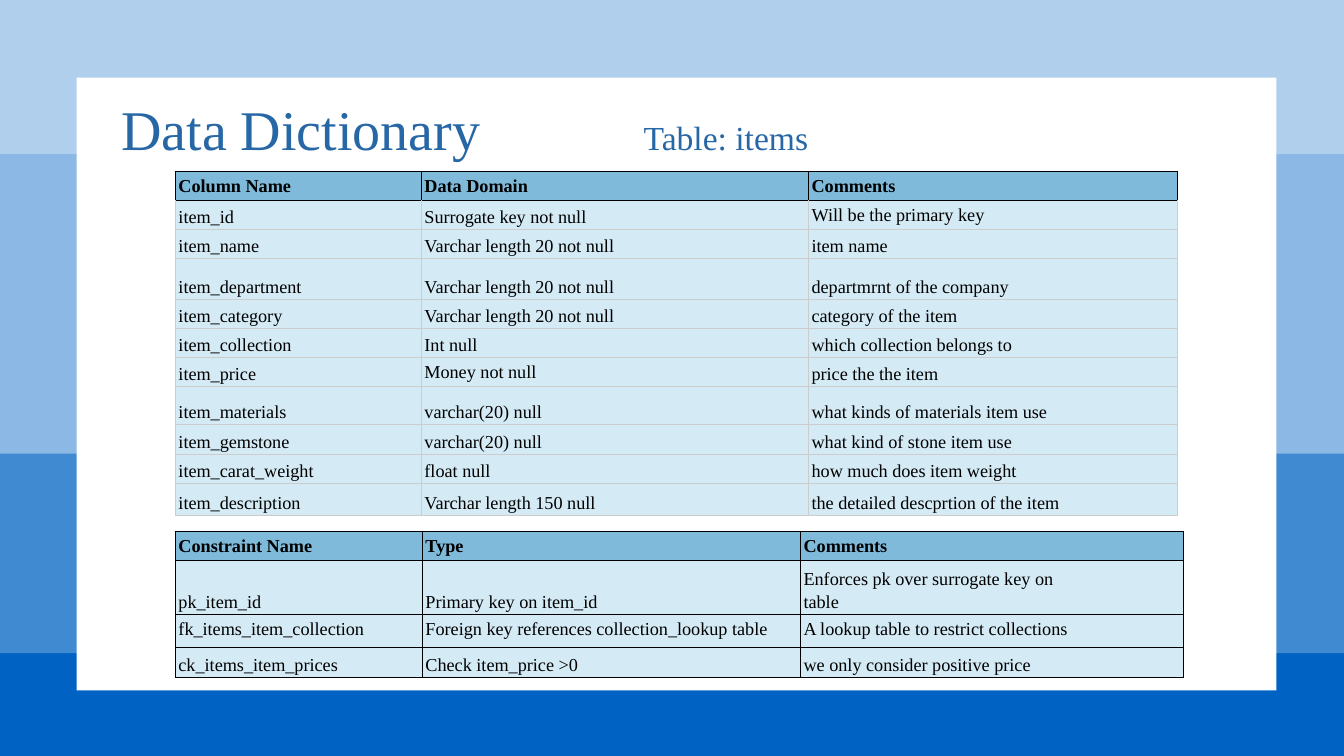
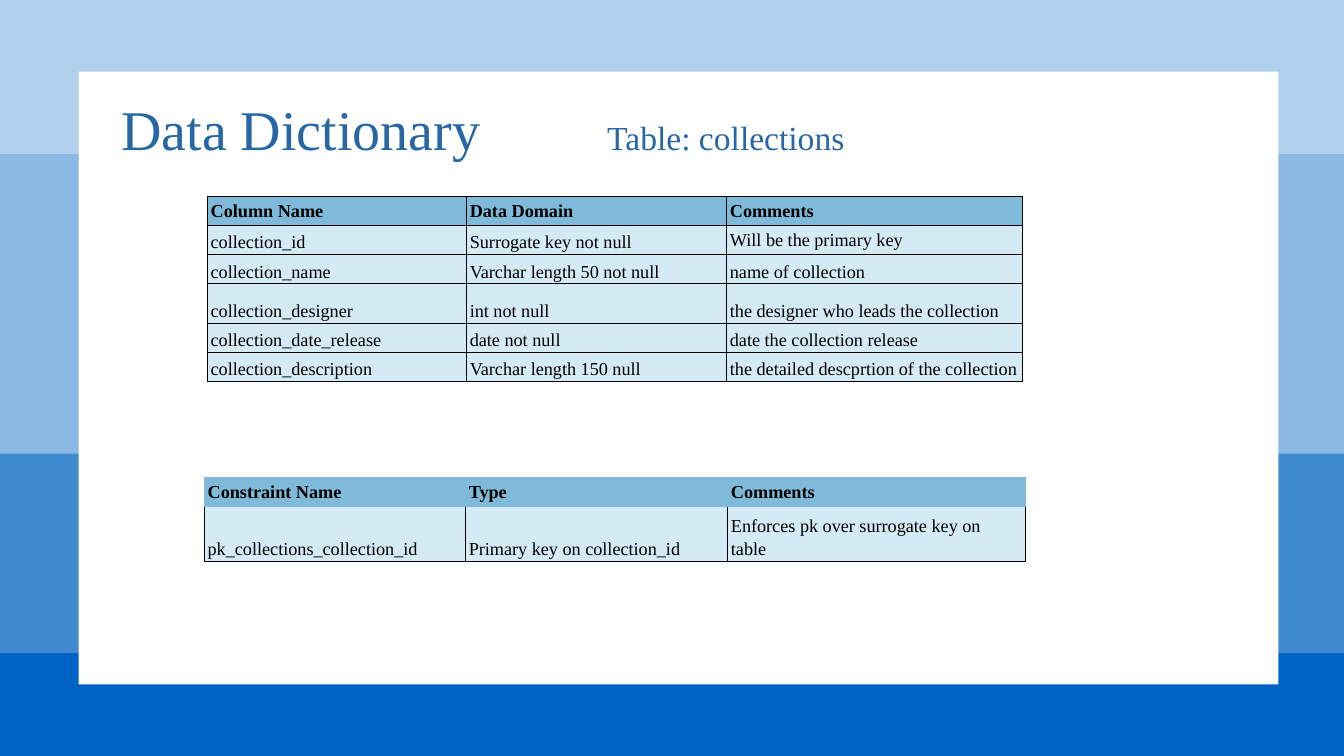
"""Builds the two data dictionary slides, for the items and collections tables."""
from lxml import etree
from pptx import Presentation
from pptx.dml.color import RGBColor
from pptx.enum.shapes import MSO_SHAPE
from pptx.enum.text import MSO_ANCHOR, MSO_AUTO_SIZE, PP_ALIGN
from pptx.oxml.ns import qn
from pptx.util import Inches, Pt

RECTANGLE = MSO_SHAPE.RECTANGLE
TOP, BOTTOM = MSO_ANCHOR.TOP, MSO_ANCHOR.BOTTOM
CENTER = PP_ALIGN.CENTER
GROW = MSO_AUTO_SIZE.SHAPE_TO_FIT_TEXT

FONT = "Times New Roman"
COLORS = {
    "deep": "0063C3", "strong": "408AD2", "soft": "8BB8E4", "pale": "B0CFED",
    "panel": "FFFFFF", "heading": "2767A6", "text": "000000",
    "header": "7FBADA", "body": "D4EAF5", "grid": "CCCCCC", "outline": "000000",
}
BANDS = [("deep", 2.46, 5.04), ("strong", 2.7, 3.78), ("pale", 0, 2.2), ("soft", 1.53, 2.97)]
TOP_ALIGNED = {
    "Will be the primary key", "Money not null", "fk_items_item_collection",
    "Foreign key references collection_lookup table",
    "A lookup table to restrict collections",
}
COLUMN_HEADER = ("Column Name", "Data Domain", "Comments")
CONSTRAINT_HEADER = ("Constraint Name", "Type", "Comments")
KEY_COMMENT = "Enforces pk over surrogate key on\ntable"

PAGES = [
    {
        "subject": "Table: items",
        "panel": (0.76, 0.77),
        "tables": [
            {
                "at": (1.74, 1.7), "widths": (2.44, 3.84, 3.66),
                "heights": (0.23, 0.27, 0.27, 0.4, 0.27, 0.29, 0.27, 0.38, 0.28, 0.28, 0.32),
                "lines": ("outline", "grid"),
                "rows": [
                    COLUMN_HEADER,
                    ("item_id", "Surrogate key not null", "Will be the primary key"),
                    ("item_name", "Varchar length 20 not null", "item name"),
                    ("item_department", "Varchar length 20 not null", "departmrnt of the company"),
                    ("item_category", "Varchar length 20 not null", "category of the item"),
                    ("item_collection", "Int null", "which collection belongs to"),
                    ("item_price", "Money not null", "price the the item"),
                    ("item_materials", "varchar(20) null", "what kinds of materials item use"),
                    ("item_gemstone", "varchar(20) null", "what kind of stone item use"),
                    ("item_carat_weight", "float null", "how much does item weight"),
                    ("item_description", "Varchar length 150 null",
                     "the detailed descprtion of the item"),
                ],
            },
            {
                "at": (1.74, 5.27), "widths": (2.45, 3.75, 3.8),
                "heights": (0.24, 0.41, 0.33, 0.22),
                "lines": ("outline", "outline"),
                "rows": [
                    CONSTRAINT_HEADER,
                    ("pk_item_id", "Primary key on item_id", KEY_COMMENT),
                    ("fk_items_item_collection",
                     "Foreign key references collection_lookup table",
                     "A lookup table to restrict collections"),
                    ("ck_items_item_prices", "Check item_price >0",
                     "we only consider positive price"),
                ],
            },
        ],
    },
    {
        "subject": "Table: collections",
        "panel": (0.78, 0.71),
        "tables": [
            {
                "at": (2.06, 1.95), "widths": (2.57, 2.58, 2.93),
                "heights": (0.22, 0.22, 0.22, 0.39, 0.22, 0.22),
                "lines": ("outline", "outline"),
                "rows": [
                    COLUMN_HEADER,
                    ("collection_id", "Surrogate key not null", "Will be the primary key"),
                    ("collection_name", "Varchar length 50 not null", "name of collection"),
                    ("collection_designer", "int not null",
                     "the designer who leads the collection"),
                    ("collection_date_release", "date not null", "date the collection release"),
                    ("collection_description", "Varchar length 150 null",
                     "the detailed descprtion of the collection"),
                ],
            },
            {
                "at": (2.03, 4.74), "widths": (2.59, 2.6, 2.95),
                "heights": (0.24, 0.36),
                "lines": ("header", "outline"),
                "rows": [
                    CONSTRAINT_HEADER,
                    ("pk_collections_collection_id", "Primary key on collection_id", KEY_COMMENT),
                ],
            },
        ],
    },
]


def add_block(slide, color, left, top, width, height):
    block = slide.shapes.add_shape(
        RECTANGLE, Inches(left), Inches(top), Inches(width), Inches(height))
    block.shadow.inherit = False
    block.fill.solid()
    block.fill.fore_color.rgb = RGBColor.from_string(COLORS[color])
    block.line.fill.background()
    return block


def style_text(frame, size, color, bold=False, align=None, spacing=None):
    for paragraph in frame.paragraphs:
        paragraph.alignment = align
        paragraph.line_spacing = spacing
        for run in paragraph.runs:
            run.font.name = FONT
            run.font.size = Pt(size)
            run.font.bold = bold
            run.font.color.rgb = RGBColor.from_string(COLORS[color])


prs = Presentation()
prs.slide_width, prs.slide_height = Inches(13.33), Inches(7.5)

for page in PAGES:
    slide = prs.slides.add_slide(prs.slide_layouts[5])
    for color, top, height in BANDS:
        add_block(slide, color, 0, top, 13.33, height)
    panel = add_block(slide, "panel", *page["panel"], 11.9, 6.08)

    title = slide.shapes.title
    panel.element.addnext(title.element)
    title.left, title.top = Inches(0.91), Inches(0.89)
    title.width, title.height = Inches(4.15), Inches(0.77)
    title.text_frame.text = "Data Dictionary"
    title.text_frame.vertical_anchor = TOP
    title.text_frame.auto_size = GROW
    style_text(title.text_frame, 40, "heading", align=CENTER)

    subject = slide.shapes.add_textbox(
        Inches(5.7), Inches(1.06), Inches(3), Inches(0.61)).text_frame
    subject.text = page["subject"]
    subject.word_wrap = True
    subject.auto_size = GROW
    subject.margin_top = subject.margin_bottom = Inches(0.1)
    style_text(subject, 24, "heading", align=CENTER)

    for entry in page["tables"]:
        rows, widths, heights = entry["rows"], entry["widths"], entry["heights"]
        left, top = entry["at"]
        grid = slide.shapes.add_table(
            len(rows), len(widths), Inches(left), Inches(top),
            Inches(sum(widths)), Inches(sum(heights))).table
        grid.first_row = grid.horz_banding = False
        for column, width in zip(grid.columns, widths):
            column.width = Inches(width)
        header_line, body_line = entry["lines"]

        for r, values in enumerate(rows):
            grid.rows[r].height = Inches(heights[r])
            is_header = r == 0
            side_line = header_line if is_header else body_line
            top_line = header_line if r <= 1 else body_line
            for c, value in enumerate(values):
                cell = grid.cell(r, c)
                cell.text_frame.text = value
                cell.margin_left = cell.margin_right = Inches(0.03)
                cell.margin_top = cell.margin_bottom = Inches(0.02)
                cell.vertical_anchor = TOP if is_header or value in TOP_ALIGNED else BOTTOM
                style_text(cell.text_frame, 13, "text", bold=is_header, spacing=1.15)
                properties = cell._tc.get_or_add_tcPr()
                for side in "LRTB":
                    border = etree.SubElement(properties, qn(f"a:ln{side}"), w=str(Pt(0.75)))
                    paint = etree.SubElement(border, qn("a:solidFill"))
                    line_color = COLORS[top_line if side == "T" else side_line]
                    etree.SubElement(paint, qn("a:srgbClr"), val=line_color)
                cell.fill.solid()
                cell.fill.fore_color.rgb = RGBColor.from_string(
                    COLORS["header" if is_header else "body"])

prs.save("out.pptx")
